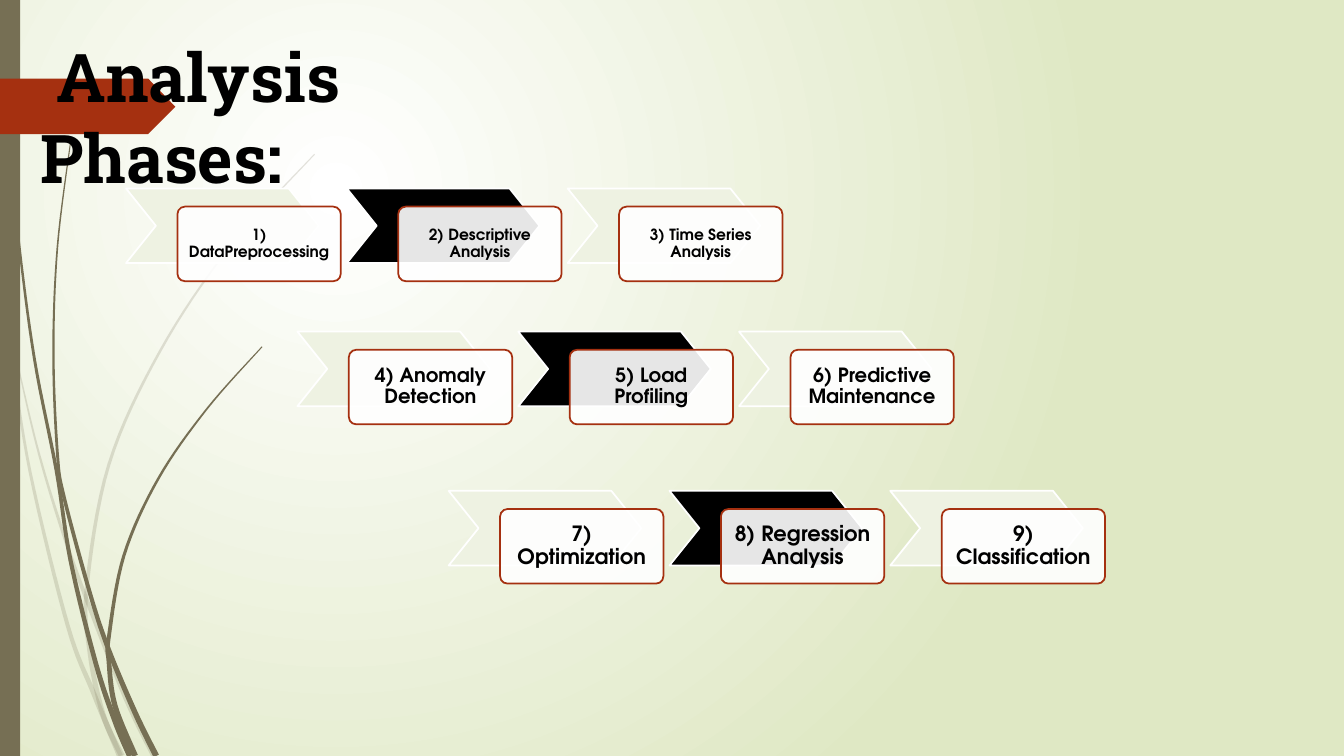
from math import hypot
from lxml.etree import SubElement
from pptx import Presentation
from pptx.dml.color import RGBColor
from pptx.enum.shapes import MSO_SHAPE
from pptx.enum.text import MSO_ANCHOR, PP_ALIGN
from pptx.oxml.ns import qn
from pptx.util import Inches, Pt

WHITE = RGBColor(0xFF, 0xFF, 0xFF)
BLACK = RGBColor(0, 0, 0)
PALE = RGBColor(0xEE, 0xF2, 0xE2)
LIME = RGBColor(0xDF, 0xE8, 0xC4)
OLIVE = RGBColor(0x76, 0x6F, 0x54)
RUST = RGBColor(0xA5, 0x30, 0x10)

FADED = [
    [(0, 2.9), (0.11, 3.5), (0.3, 4.69), (0.67, 6.2), (0.93, 6.88), (1.19, 7.5)],
    [(0.14, 3.45), (0.36, 4.4), (0.6, 5.21), (0.86, 5.95), (1.25, 6.93), (1.53, 7.5)],
    [(3.12, 1.53), (2.28, 2.45), (1.59, 3.48), (1.08, 4.61), (0.86, 5.84),
     (0.89, 6.46), (1.02, 7.08), (1.21, 7.5)],
]
SOLID = [
    [(0.03, 0), (0.07, 1.1), (0.18, 2.33), (0.34, 3.55), (0.56, 4.67),
     (0.7, 5.56), (0.95, 6.58), (1.14, 7.15), (1.29, 7.5)],
    [(0.7, 1.41), (0.57, 2.45), (0.53, 3.49), (0.57, 4.5), (0.64, 4.95),
     (0.9, 5.91), (1.08, 6.45), (1.34, 7.07), (1.55, 7.5)],
    [(2.6, 3.44), (2.05, 4.06), (1.57, 4.75), (1.23, 5.51), (1.08, 6.32),
     (1.08, 6.56), (1.14, 7), (1.34, 7.5)],
]
ROWS = [
    (1.25, 1.87, 11, 0.08,
     ["1) DataPreprocessing", "2) Descriptive Analysis", "3) Time Series Analysis"]),
    (2.95, 3.29, 14, 0.11,
     ["4) Anomaly Detection", "5) Load Profiling", "6) Predictive Maintenance"]),
    (4.45, 4.87, 15, 0.11,
     ["7) Optimization", "8) Regression Analysis", "9) Classification"]),
]


def paint(shape, color, edge=None, alpha=None):
    shape.shadow.inherit = False
    shape.fill.solid()
    shape.fill.fore_color.rgb = color
    if edge is None:
        shape.line.fill.background()
    else:
        shape.line.color.rgb = edge
        shape.line.width = Pt(1.25)
    if alpha:
        tint = shape.element.spPr.find(qn("a:solidFill"))[0]
        SubElement(tint, qn("a:alpha"), val=str(alpha * 1000))


def outline(slide, points):
    spots = [(Inches(x), Inches(y)) for x, y in points]
    pen = slide.shapes.build_freeform(*spots[0])
    pen.add_line_segments(spots[1:], close=True)
    return pen.convert_to_shape()


def curve(knots, steps=8):
    ends = [knots[0], *knots, knots[-1]]
    points = []
    for a, b, c, d in zip(ends, ends[1:], ends[2:], ends[3:]):
        for step in range(steps):
            t = step / steps
            points.append(tuple(
                (2 * q + (r - p) * t + (2 * p - 5 * q + 4 * r - s) * t ** 2
                 + (3 * q - p - 3 * r + s) * t ** 3) / 2
                for p, q, r, s in zip(a, b, c, d)))
    return points + [knots[-1]]


def blade(slide, knots, alpha=None):
    mid = curve(knots)
    left, right = [], []
    for i, (x, y) in enumerate(mid):
        (ax, ay), (bx, by) = mid[max(i - 1, 0)], mid[min(i + 1, len(mid) - 1)]
        size = hypot(bx - ax, by - ay)
        half = 0.005 + 0.025 * i / len(mid)
        dx, dy = half * (by - ay) / size, half * (bx - ax) / size
        left.append((max(x - dx, 0), y + dy))
        right.append((x + dx, y - dy))
    paint(outline(slide, left + right[::-1]), OLIVE, alpha=alpha)


def backdrop(slide, width, height):
    fill = slide.background.fill
    fill.gradient()
    for stop, color in zip(fill.gradient_stops, (WHITE, LIME)):
        stop.color.rgb = color
    grad = slide.element.find(".//" + qn("a:gradFill"))
    grad.remove(grad.find(qn("a:lin")))
    ring = SubElement(grad, qn("a:path"), path="circle")
    SubElement(ring, qn("a:fillToRect"), l="50000", t="50000", r="100000", b="100000")
    for knots in FADED:
        blade(slide, knots, 20)
    for knots in SOLID:
        blade(slide, knots)
    bar = slide.shapes.add_shape(MSO_SHAPE.RECTANGLE, 0, 0, Inches(0.2), height)
    paint(bar, OLIVE)
    flag = [(0, 0.78), (1.47, 0.78), (1.74, 1.06), (1.47, 1.33), (0, 1.33)]
    paint(outline(slide, flag), RUST)


def style(frame, size, font, gap):
    frame.word_wrap = True
    para = frame.paragraphs[0]
    para.line_spacing = gap
    face = para.runs[0].font
    face.name, face.size, face.bold = font, Pt(size), True
    face.color.rgb = BLACK
    return para


def phase(slide, x, y, text, size, inset, color):
    arrow = slide.shapes.add_shape(
        MSO_SHAPE.CHEVRON, Inches(x), Inches(y), Inches(1.91), Inches(0.74))
    arrow.adjustments[0] = 0.4
    paint(arrow, color, WHITE)
    card = slide.shapes.add_shape(
        MSO_SHAPE.ROUNDED_RECTANGLE, Inches(x + 0.51), Inches(y + 0.18),
        Inches(1.62), Inches(0.74))
    card.adjustments[0] = 0.1
    paint(card, WHITE, RUST, 90)
    frame = card.text_frame
    frame.text = text
    frame.vertical_anchor = MSO_ANCHOR.MIDDLE
    frame.margin_left = frame.margin_right = Inches(inset)
    frame.margin_top = frame.margin_bottom = Inches(inset)
    style(frame, size, "TeX Gyre Adventor", 0.9).alignment = PP_ALIGN.CENTER


def row(slide, x, y, size, inset, names):
    for i, name in enumerate(names):
        color = BLACK if i == 1 else PALE
        phase(slide, x + i * 2.19, y, name, size, inset, color)


def title(slide, x, y, width, height):
    box = slide.shapes.add_textbox(
        Inches(x), Inches(y), Inches(width), Inches(height))
    box.text_frame.text = " Analysis Phases:"
    style(box.text_frame, 48, "Roboto Slab", 1)


def main():
    deck = Presentation()
    deck.slide_width, deck.slide_height = Inches(13.33), Inches(7.5)
    slide = deck.slides.add_slide(deck.slide_layouts[6])
    backdrop(slide, deck.slide_width, deck.slide_height)
    for item in ROWS:
        row(slide, *item)
    title(slide, 0.3, 0.3, 5.39, 0.89)
    deck.save("out.pptx")


if __name__ == "__main__":
    main()
